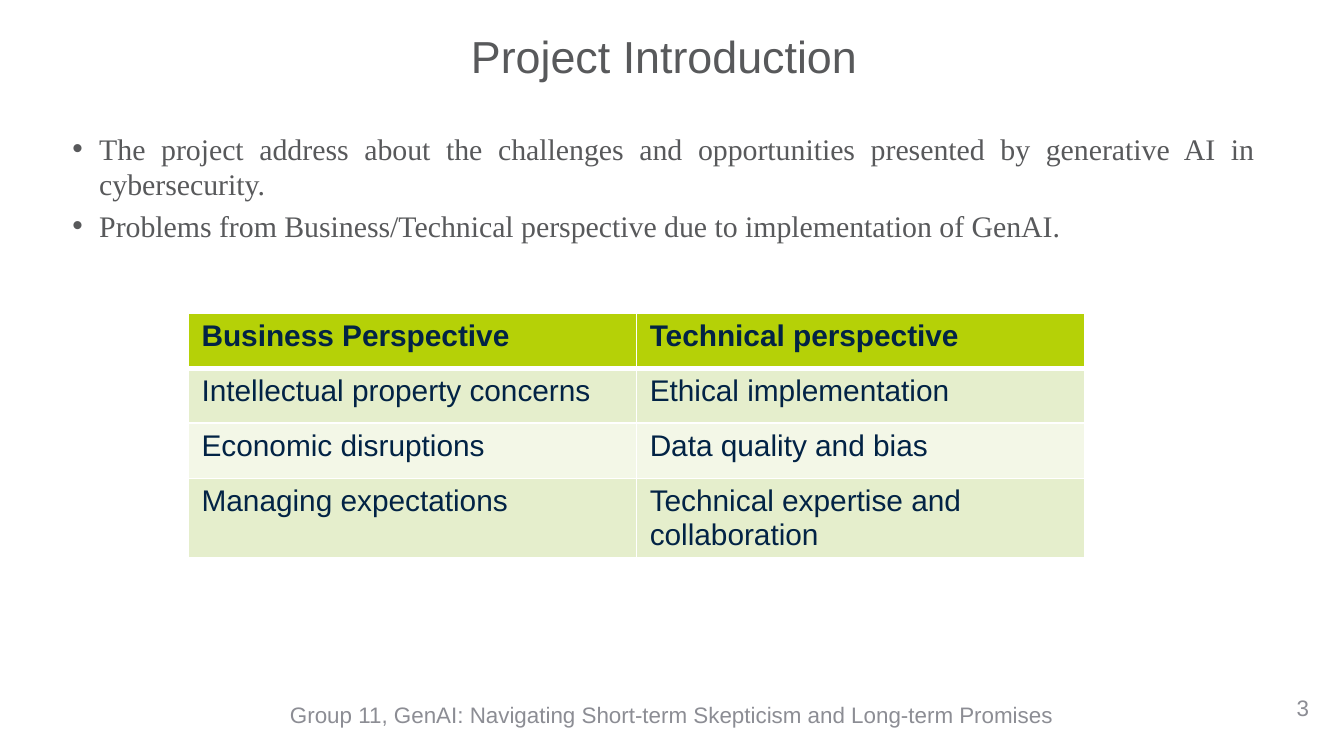
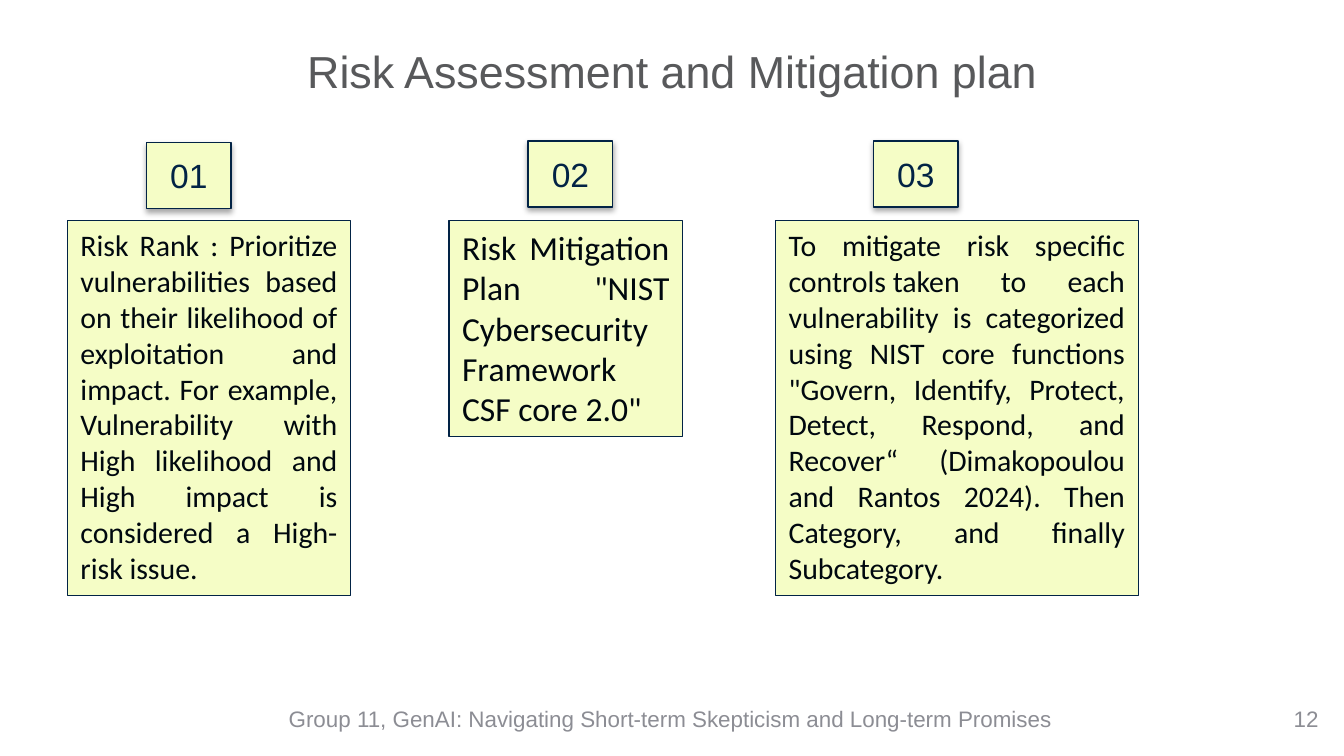
from lxml import etree
from pptx import Presentation, util as u
from pptx.dml.color import RGBColor
from pptx.enum import shapes, text
from pptx.oxml import ns

GREY, PALE, NAVY, INK = "58595B", "8C8D94", "022345", "00080F"
LIME, CREAM, WHITE = "B5D107", "F5FDC6", "FFFFFF"
BANDS = ["E5EECC", "F3F7E7"]
SANS, BODY, SERIF = "Arial", "Calibri", "Times New Roman"
LEFT, MID = text.PP_ALIGN.LEFT, text.PP_ALIGN.CENTER
RIGHT, JUST = text.PP_ALIGN.RIGHT, text.PP_ALIGN.JUSTIFY
TOP, CENTRE = text.MSO_ANCHOR.TOP, text.MSO_ANCHOR.MIDDLE
HARD = chr(160)  # no-break space
FOOT = "Group 11, GenAI: Navigating Short-term Skepticism and Long-term Promises"

POINTS = [
    "The project address about the challenges and opportunities presented by generative AI in cybersecurity.",
    "Problems from Business/Technical perspective due to implementation of GenAI.",
]
ROWS = [
    ("Business Perspective", "Technical perspective"),
    ("Intellectual property concerns", "Ethical implementation"),
    ("Economic disruptions", "Data quality and bias"),
    ("Managing expectations", "Technical expertise and collaboration"),
]
# Number left and top, card left, width, height, text size, wording
STEPS = [
    (1.09, 1.06, 0.5, 2.11, 2.79, 16,
     "Risk Rank : Prioritize vulnerabilities based on their likelihood of exploitation and impact. "
     "For example, Vulnerability with High likelihood and High impact is considered a High-risk issue."),
    (3.93, 1.05, 3.34, 1.74, 1.61, 18,
     'Risk Mitigation Plan "NIST Cybersecurity Framework CSF core 2.0"'),
    (6.5, 1.05, 5.77, 2.7, 2.79, 16,
     f"To mitigate risk specific controls{HARD}taken to each vulnerability is categorized using NIST core "
     'functions "Govern, Identify, Protect, Detect, Respond, and Recover“ (Dimakopoulou and Rantos 2024). '
     "Then Category, and finally Subcategory."),
]


def rgb(code):
    return RGBColor.from_string(code)


def sub(node, tag, **attrs):
    return etree.SubElement(node, ns.qn(tag), {k: str(v) for k, v in attrs.items()})


def area(left, top, width, height):
    return [u.Inches(n) for n in (left, top, width, height)]


def write(para, words, size, color, font=SANS, align=LEFT, bold=False):
    para.alignment = align
    run = para.add_run()
    run.text = words
    run.font.size = u.Pt(size)
    run.font.name = font
    run.font.bold = bold
    run.font.color.rgb = rgb(color)


def set_up(frame, anchor):
    frame.word_wrap = True
    frame.auto_size = text.MSO_AUTO_SIZE.NONE
    frame.vertical_anchor = anchor
    return frame.paragraphs[0]


def add_title(slide, words, left, top, gap=1.0):
    title = slide.shapes.title
    title.left, title.top, title.width, title.height = area(left, top, 9, 0.59)
    para = set_up(title.text_frame, CENTRE)
    para.line_spacing = gap
    write(para, words, 24, GREY, align=MID)


def add_note(slide, words, box, align):
    shape = slide.shapes.add_textbox(*area(*box))
    para = set_up(shape.text_frame, CENTRE)
    para.line_spacing = 0.9
    para.space_after = u.Pt(6)
    write(para, words, 12, PALE, align=align)


def add_foot(slide, number, left, top, num_left, num_top):
    add_note(slide, FOOT, (left, top, 6.34, 0.3), MID)
    add_note(slide, number, (num_left, num_top, 2.33, 0.3), RIGHT)


def add_list(slide, items, box):
    frame = slide.shapes.add_textbox(*area(*box)).text_frame
    set_up(frame, TOP)
    for i, item in enumerate(items):
        para = frame.add_paragraph() if i else frame.paragraphs[0]
        para.space_before = u.Pt(3.2)
        write(para, item, 16, GREY, SERIF, JUST)
        props = para._p.get_or_add_pPr()
        props.set("marL", str(u.Inches(0.2)))
        props.set("indent", str(-u.Inches(0.2)))
        sub(props, "a:buFont", typeface=SANS)
        sub(props, "a:buChar", char="•")


def edge(cell, base):
    """White cell borders, with the given width at the bottom."""
    props = cell._tc.get_or_add_tcPr()
    for side, width in (("L", 1), ("R", 1), ("T", 1), ("B", base)):
        line = sub(props, "a:ln" + side, w=u.Pt(width))
        sub(sub(line, "a:solidFill"), "a:srgbClr", val=WHITE)


def add_grid(slide, rows, left, top, width, height):
    cols = len(rows[0])
    box = area(left, top, width, height * len(rows))
    table = slide.shapes.add_table(len(rows), cols, *box).table
    table.horz_banding = False
    for i, row in enumerate(rows):
        table.rows[i].height = u.Inches(height)
        for j, words in enumerate(row):
            table.columns[j].width = u.Inches(width / cols)
            cell = table.cell(i, j)
            edge(cell, 1 if i else 3)
            cell.fill.solid()
            cell.fill.fore_color.rgb = rgb(BANDS[(i - 1) % 2] if i else LIME)
            write(cell.text_frame.paragraphs[0], words, 16, NAVY, bold=not i)


def add_box(slide, box, anchor):
    shape = slide.shapes.add_shape(shapes.MSO_SHAPE.RECTANGLE, *area(*box))
    shape.shadow.inherit = False
    shape.fill.solid()
    shape.fill.fore_color.rgb = rgb(CREAM)
    shape.line.color.rgb = rgb(NAVY)
    shape.line.width = u.Pt(0.75)
    return shape, set_up(shape.text_frame, anchor)


def cast(shape):
    """Soft shadow straight below the shape."""
    glow = sub(shape._element.spPr.find(ns.qn("a:effectLst")), "a:outerShdw",
               blurRad=u.Pt(3.1), dist=u.Pt(1.8), dir=90 * 60000, rotWithShape=0)
    sub(sub(glow, "a:srgbClr", val="000000"), "a:alpha", val=35000)


def add_step(slide, number, left, top, card, width, height, size, words):
    badge, para = add_box(slide, (left, top, 0.63, 0.49), CENTRE)
    cast(badge)
    write(para, f"{number:02}", 18, NAVY, align=MID)
    shape, para = add_box(slide, (card, 1.64, width, height), TOP)
    shape.text_frame.auto_size = text.MSO_AUTO_SIZE.SHAPE_TO_FIT_TEXT
    write(para, words, size, INK, BODY, JUST)


def main():
    deck = Presentation()
    deck.slide_width = u.Inches(10)
    deck.slide_height = u.Inches(10 * 9 / 16)
    plain = deck.slide_layouts[5]

    # Introduction
    intro = deck.slides.add_slide(plain)
    add_title(intro, "Project Introduction", 0.44, 0.14, 0.9)
    add_foot(intro, "3", 1.83, 5.18, 7.51, 5.13)
    add_list(intro, POINTS, (0.44, 0.92, 9, 3.79))
    add_grid(intro, ROWS, 1.4, 2.33, 6.67, 0.41)

    # Risk plan
    risk = deck.slides.add_slide(plain)
    add_title(risk, "Risk Assessment and Mitigation plan", 0.5, 0.23)
    add_foot(risk, "12", 1.82, 5.21, 7.58, 5.21)
    for number, step in enumerate(STEPS, 1):
        add_step(risk, number, *step)

    deck.save("out.pptx")


if __name__ == "__main__":
    main()
